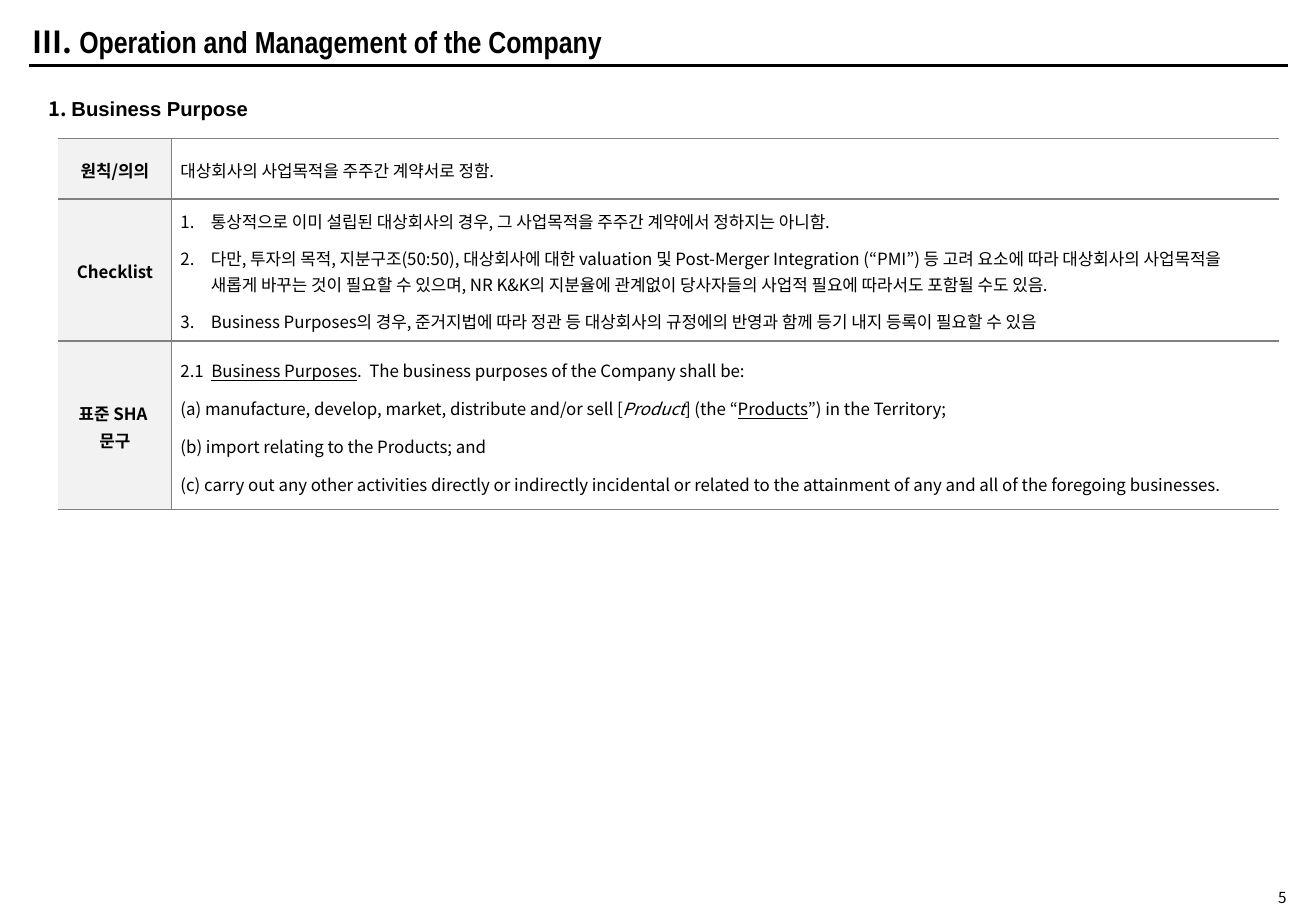
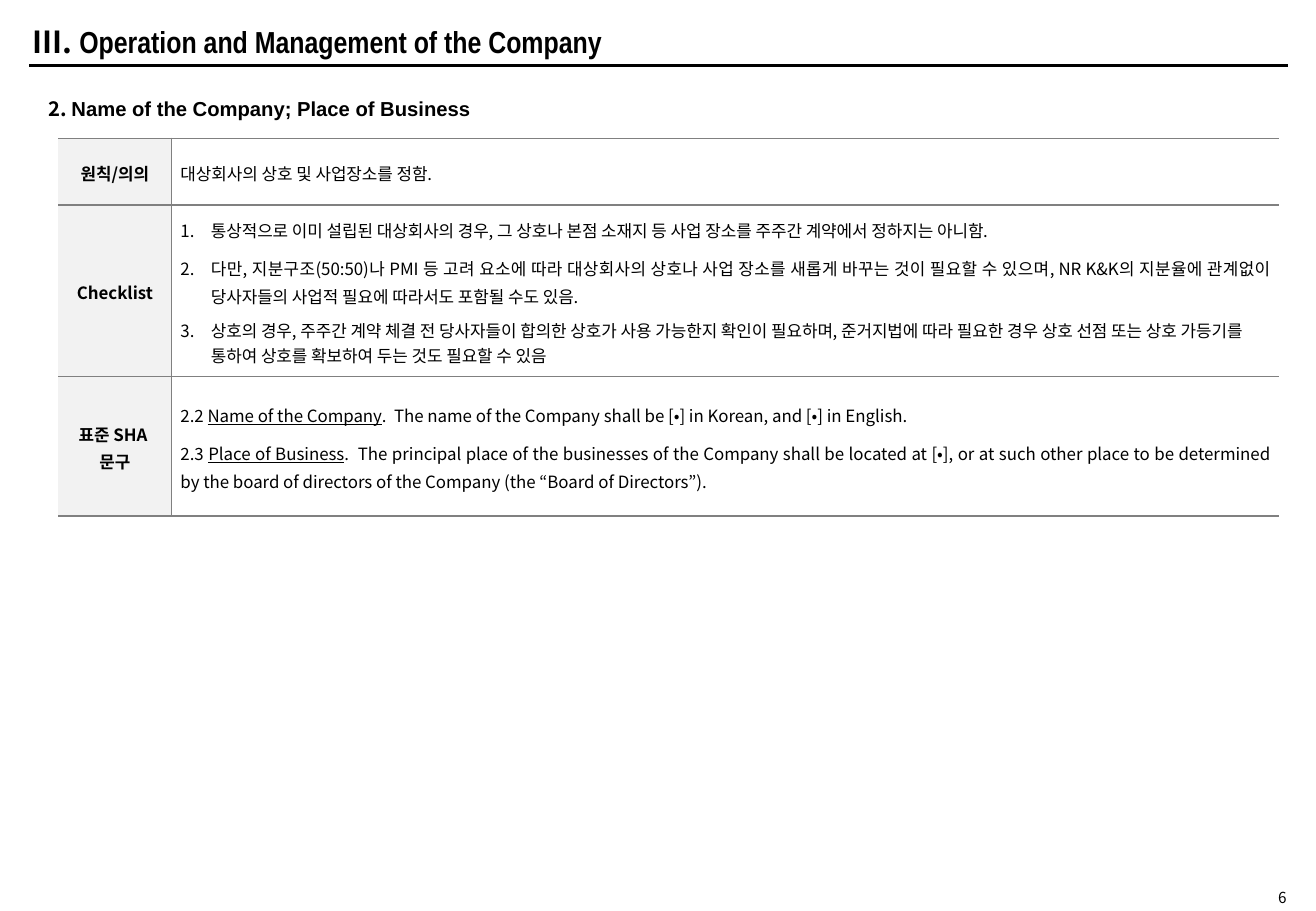
from dataclasses import dataclass

from lxml.etree import SubElement
from pptx import Presentation
from pptx.dml.color import RGBColor
from pptx.enum.shapes import MSO_CONNECTOR as Connector
from pptx.enum.text import MSO_ANCHOR as Anchor, PP_ALIGN as Align
from pptx.oxml.ns import qn
from pptx.slide import Slide
from pptx.table import _Cell as Cell
from pptx.text.text import TextFrame, _Paragraph as Paragraph
from pptx.util import Pt


@dataclass(frozen=True)
class Theme:
    ink: str = "000000"
    border: str = "808080"
    label_fill: str = "F2F2F2"
    font: str = "Noto Sans CJK KR"
    title_font: str = "Arial Narrow"
    heading_font: str = "Arial"
    title_size: float = 18
    heading_size: float = 12
    body_size: float = 10
    number_size: float = 9


@dataclass(frozen=True)
class Span:
    text: str
    font: str = ""
    underline: bool = False
    italic: bool = False


@dataclass(frozen=True)
class Line:
    spans: tuple[Span, ...]
    align: Align = Align.LEFT
    spacing: float = 1.1
    after: float = 0
    numbered: bool = False


@dataclass(frozen=True)
class Topic:
    page: int
    number: str
    heading: str
    row_heights: tuple[float, float, float]
    label_after: float
    contents: tuple[tuple[Line, ...], ...]


THEME = Theme()
LABELS = ("원칙/의의", "Checklist", "표준 SHA \v문구")
COLUMN_WIDTHS = (67, 656.6)
NUMBER_INDENT = 18


def item(text: str, align: Align = Align.LEFT, spacing: float = 1.1) -> Line:
    return Line((Span(text),), align, spacing, after=6, numbered=True)


def clause(*spans: Span) -> Line:
    return Line(spans, Align.JUSTIFY, 1.15, after=6)


TOPICS = (
    Topic(5, "1. ", "Business Purpose", (36, 84.2, 100), 0, (
        (Line((Span("대상회사의 사업목적을 주주간 계약서로 정함."),)),),
        (
            item("통상적으로 이미 설립된 대상회사의 경우, 그 사업목적을 주주간 계약에서 정하지는 아니함."),
            item("다만, 투자의 목적, 지분구조(50:50), 대상회사에 대한 valuation 및 Post-Merger Integration "
                 "(“PMI”) 등 고려 요소에 따라 대상회사의 사업목적을 새롭게 바꾸는 것이 필요할 수 있으며, "
                 "NR K&K의 지분율에 관계없이 당사자들의 사업적 필요에 따라서도 포함될 수도 있음."),
            item("Business Purposes의 경우, 준거지법에 따라 정관 등 대상회사의 규정에의 반영과 함께 "
                 "등기 내지 등록이 필요할 수 있음"),
        ),
        (
            clause(Span("2.1  "), Span("Business Purposes", underline=True),
                   Span(".  The business purposes of the Company shall be:")),
            clause(Span("(a) manufacture, develop, market, distribute and/or sell ["),
                   Span("Product", italic=True), Span("] (the “"),
                   Span("Products", underline=True), Span("”) in the Territory;")),
            clause(Span("(b) import relating to the Products; and")),
            clause(Span("(c) carry out any other activities directly or indirectly incidental or related "
                        "to the attainment of any and all of the foregoing businesses.")),
        ),
    )),
    Topic(6, "2. ", "Name of the Company; Place of Business", (39.6, 101.5, 82.8), 6, (
        (Line((Span("대상회사의 상호 및 사업장소를 정함."),), after=6),),
        (
            item("통상적으로 이미 설립된 대상회사의 경우, 그 상호나 본점 소재지 등 사업 장소를 주주간 "
                 "계약에서 정하지는 아니함.", Align.JUSTIFY, 1.15),
            item("다만, 지분구조(50:50)나 PMI 등 고려 요소에 따라 대상회사의 상호나 사업 장소를 새롭게 "
                 "바꾸는 것이 필요할 수 있으며, NR K&K의 지분율에 관계없이 당사자들의 사업적 필요에 "
                 "따라서도 포함될 수도 있음.", Align.JUSTIFY, 1.15),
            item("상호의 경우, 주주간 계약 체결 전 당사자들이 합의한 상호가 사용 가능한지 확인이 필요하며, "
                 "준거지법에 따라 필요한 경우 상호 선점 또는 상호 가등기를 통하여 상호를 확보하여 두는 "
                 "것도 필요할 수 있음", spacing=1.0),
        ),
        (
            clause(Span("2.2 "), Span("Name of the Company", underline=True),
                   Span(".  The name of the Company shall be [•] in Korean, and [•] in English.")),
            clause(Span("2.3 "), Span("Place of Business", underline=True),
                   Span(".  The principal place of the businesses of the Company shall be located at [•], "
                        "or at such other place to be determined by the board of directors of the Company "
                        "(the “Board of Directors”).")),
        ),
    )),
)


def add_text(paragraph: Paragraph, text: str, *, size: float, font: str = THEME.font,
             bold: bool = False, italic: bool = False, underline: bool = False) -> None:
    for index, part in enumerate(text.split("\v")):
        if index:
            paragraph.add_line_break()
        run = paragraph.add_run()
        run.text = part
        run.font.size = Pt(size)
        run.font.name = font
        run.font.bold = bold
        run.font.italic = italic
        run.font.underline = underline
        run.font.color.rgb = RGBColor.from_string(THEME.ink)
        SubElement(run.font._element, qn("a:ea"), typeface=font)


def write_lines(frame: TextFrame, lines: tuple[Line, ...], size: float, bold: bool = False) -> None:
    for index, line in enumerate(lines):
        paragraph = frame.add_paragraph() if index else frame.paragraphs[0]
        paragraph.alignment = line.align
        paragraph.line_spacing = line.spacing
        paragraph.space_after = Pt(line.after)
        if line.numbered:
            properties = paragraph._p.get_or_add_pPr()
            properties.set("marL", str(Pt(NUMBER_INDENT)))
            properties.set("indent", str(-Pt(NUMBER_INDENT)))
            SubElement(properties, qn("a:buFont"), typeface=THEME.font)
            SubElement(properties, qn("a:buAutoNum"), type="arabicPeriod")
        for span in line.spans:
            add_text(paragraph, span.text, size=size, font=span.font or THEME.font, bold=bold,
                     italic=span.italic, underline=span.underline)


def add_text_box(slide: Slide, box: tuple[float, float, float, float], line: Line, size: float,
                 bold: bool = True, anchor: Anchor = Anchor.TOP, inset: float = 3.6) -> None:
    frame = slide.shapes.add_textbox(*(Pt(length) for length in box)).text_frame
    frame.word_wrap = True
    frame.vertical_anchor = anchor
    frame.margin_top = frame.margin_bottom = Pt(inset)
    write_lines(frame, (line,), size, bold)


def add_frame(slide: Slide, page: int) -> None:
    rule = slide.shapes.add_connector(Connector.STRAIGHT, Pt(17.3), Pt(38.9), Pt(763.2), Pt(38.9))
    rule.line.width = Pt(2)
    rule.line.color.rgb = RGBColor.from_string(THEME.ink)
    SubElement(rule._element.spPr, qn("a:effectLst"))
    add_text_box(slide, (702, 526.3, 67.7, 10.8), Line((Span(str(page)),), Align.RIGHT, 1.0),
                 THEME.number_size, bold=False, anchor=Anchor.MIDDLE, inset=0)
    title = Line((Span("III. "), Span("Operation and Management of the Company", THEME.title_font)),
                 spacing=1.0)
    add_text_box(slide, (12.2, 10.8, 368, 27.4), title, THEME.title_size, anchor=Anchor.MIDDLE)


def add_border(cell: Cell, side: str) -> None:
    line = SubElement(cell._tc.get_or_add_tcPr(), qn(f"a:ln{side}"), w=str(Pt(1)))
    fill = SubElement(line, qn("a:solidFill"))
    SubElement(fill, qn("a:srgbClr"), val=THEME.border)


def fill_cell(cell: Cell, lines: tuple[Line, ...], is_label: bool) -> None:
    cell.vertical_anchor = Anchor.MIDDLE
    cell.margin_left = cell.margin_right = Pt(5.4)
    cell.margin_top = cell.margin_bottom = 0
    for side in "RTB" if is_label else "LTB":
        add_border(cell, side)
    if is_label:
        cell.fill.solid()
        cell.fill.fore_color.rgb = RGBColor.from_string(THEME.label_fill)
    else:
        cell.fill.background()
    write_lines(cell.text_frame, lines, THEME.body_size, bold=is_label)


def add_topic_table(slide: Slide, topic: Topic) -> None:
    frame = slide.shapes.add_table(len(LABELS), 2, Pt(34.6), Pt(82), Pt(sum(COLUMN_WIDTHS)),
                                   Pt(sum(topic.row_heights)))
    table = frame.table
    table.first_row = table.horz_banding = False
    table._tbl.tblPr.find(qn("a:tableStyleId")).text = "{2D5ABB26-0587-4C30-8999-92F81FD0307C}"
    for column, width in zip(table.columns, COLUMN_WIDTHS):
        column.width = Pt(width)
    for row, height, label, lines in zip(table.rows, topic.row_heights, LABELS, topic.contents):
        row.height = Pt(height)
        label_cell, content_cell = row.cells
        label_line = Line((Span(label),), Align.CENTER, after=topic.label_after)
        fill_cell(label_cell, (label_line,), is_label=True)
        fill_cell(content_cell, lines, is_label=False)


def main() -> None:
    presentation = Presentation()
    presentation.slide_width = Pt(780)
    presentation.slide_height = Pt(540)
    for topic in TOPICS:
        slide = presentation.slides.add_slide(presentation.slide_layouts[6])
        add_frame(slide, topic.page)
        heading = Line((Span(topic.number), Span(topic.heading, THEME.heading_font)), spacing=1.0)
        add_text_box(slide, (21.6, 53.3, 721.4, 21.6), heading, THEME.heading_size)
        add_topic_table(slide, topic)
    presentation.save("out.pptx")


if __name__ == "__main__":
    main()
